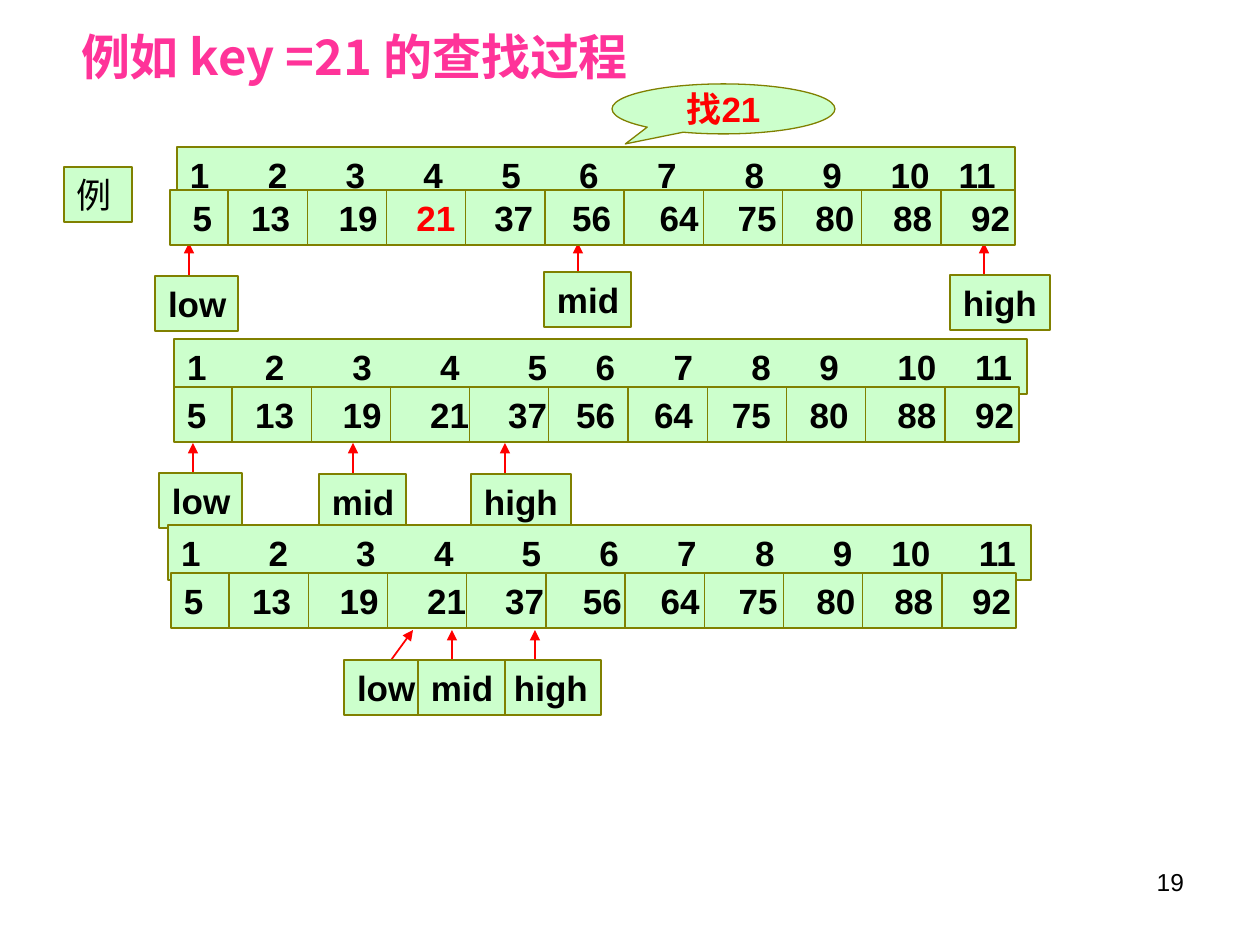
from itertools import accumulate
from lxml.etree import SubElement as Sub
from pptx import Presentation
from pptx.dml.color import RGBColor as Rgb
from pptx.enum.shapes import MSO_CONNECTOR as Conn, MSO_SHAPE as Kind
from pptx.enum.text import MSO_ANCHOR as Anchor, PP_ALIGN as Align
from pptx.oxml.ns import qn
from pptx.util import Pt

PX = 914400 / 126
SPACE = Pt(5.56)
INSET = 13
HIGH = 55
COLORS = {"fill": "CCFFCC", "edge": "808000", "red": "FF0000",
          "pink": "FF3399", "ink": "000000"}
HAN = "Noto Sans CJK SC"
WIDTHS = {"low": 83, "mid": 87, "high": 100}

INDEX = [str(n) for n in range(1, 12)]
KEYS = ["5", "13", "19", "21", "37", "56", "64", "75", "80", "88", "92"]
STEPS = [
    {"head": (177, 147, 838, [6, 6, 6, 6, 6, 6, 7, 6, 5, 3]),
     "cells": (170, 190, 845, [4, 5, 4, 4, 4, 5, 4, 4, 4, 4]),
     "lead": 1, "hit": "21", "under": True, "tip": 243,
     "marks": [("low", 155, 276, 0), ("high", 950, 275, 0), ("mid", 544, 272, 0)]},
    {"head": (174, 339, 853, [6, 7, 7, 7, 5, 6, 6, 5, 6, 4]),
     "cells": (174, 387, 845, [5, 5, 5, 4, 3, 4, 4, 4, 5, 4]),
     "lead": 0, "hit": None, "under": False, "tip": 443,
     "marks": [("low", 159, 473, 0), ("high", 471, 474, 0), ("mid", 319, 474, 0)]},
    {"head": (168, 525, 863, [7, 7, 6, 7, 6, 6, 6, 6, 4, 5]),
     "cells": (171, 573, 845, [5, 5, 5, 4, 4, 4, 4, 4, 4, 4]),
     "lead": 0, "hit": None, "under": False, "tip": 630,
     "marks": [("low", 344, 660, 22), ("high", 501, 660, 0), ("mid", 418, 660, 0)]},
]


def px(*nums):
    return [round(n * PX) for n in nums]


def write(frame, text, size=20, color="ink", bold=True, font="Arial", align=Align.LEFT,
          anchor=Anchor.TOP, wrap=True, right=0, lead=0, stops=(), hit=None):
    frame.word_wrap = wrap
    frame.vertical_anchor = anchor
    frame.margin_left = px(INSET)[0] + lead * SPACE
    frame.margin_right = px(right)[0]
    frame.margin_top = frame.margin_bottom = px(6)[0]
    para = frame.paragraphs[0]
    para.alignment = align
    if stops:
        tabs = Sub(para._p.get_or_add_pPr(), qn("a:tabLst"))
        for stop in stops:
            Sub(tabs, qn("a:tab"), pos=str(stop), algn="l")
    if hit:
        before, after = text.split(hit)
        parts = [(before, color), (hit, "red"), (after, color)]
    else:
        parts = [(text, color)]
    for part, tone in parts:
        run = para.add_run()
        run.text = part
        run.font.size = Pt(size)
        run.font.bold = bold
        run.font.color.rgb = Rgb.from_string(COLORS[tone])
        run.font.name = font
        Sub(run._r.get_or_add_rPr(), qn("a:ea"), typeface=HAN)


def box(slide, x, y, w, h, text, kind=Kind.RECTANGLE, **form):
    shape = slide.shapes.add_shape(kind, *px(x, y, w, h))
    shape.shadow.inherit = False
    shape.fill.solid()
    shape.fill.fore_color.rgb = Rgb.from_string(COLORS["fill"])
    shape.line.color.rgb = Rgb.from_string(COLORS["edge"])
    shape.line.width = Pt(0.75)
    write(shape.text_frame, text, **form)
    return shape


def rule(slide, x1, y1, x2, y2, color="edge", width=0.75, arrow=False):
    line = slide.shapes.add_connector(Conn.STRAIGHT, *px(x1, y1, x2, y2))
    line.line.color.rgb = Rgb.from_string(COLORS[color])
    line.line.width = Pt(width)
    if arrow:
        Sub(line.line._get_or_add_ln(), qn("a:tailEnd"), type="triangle")
    Sub(line._element.spPr, qn("a:effectLst"))


def row(slide, spot, words, **form):
    x, y, w, gaps = spot
    steps = [(2 * len(word) + gap) * SPACE for word, gap in zip(words, gaps)]
    box(slide, x, y, w, HIGH, "\t".join(words), stops=list(accumulate(steps)), **form)


def table(slide, step):
    row(slide, step["head"], INDEX)
    row(slide, step["cells"], KEYS, anchor=Anchor.MIDDLE,
        lead=step["lead"], hit=step["hit"])
    x, y = step["cells"][:2]
    for n in range(10):
        at = x + 58 + n * 713 / 9
        rule(slide, at, y, at, y + HIGH)


def marks(slide, step):
    for name, x, y, lean in step["marks"]:
        foot = x + 34
        tip = foot + 35 if lean else foot
        rule(slide, foot, y + 18, tip, step["tip"], color="red", width=1, arrow=True)
        box(slide, x, y, WIDTHS[name], HIGH, name)


def main():
    deck = Presentation()
    deck.slide_width, deck.slide_height = px(1260, 945)
    slide = deck.slides.add_slide(deck.slide_layouts[5])
    title = slide.shapes.title
    title.left, title.top, title.width, title.height = px(68, 20, 599, 72)
    write(title.text_frame, "例如 key =21 的查找过程", size=28, color="pink",
          font=HAN, wrap=False, right=INSET)
    for step in STEPS:
        parts = [marks, table] if step["under"] else [table, marks]
        for part in parts:
            part(slide, step)
    box(slide, 64, 167, 68, HIGH, "例", bold=False)
    call = box(slide, 612, 84, 223, 50, "找21", kind=Kind.OVAL_CALLOUT, color="red",
               align=Align.CENTER, anchor=Anchor.MIDDLE, wrap=False, right=INSET)
    call.adjustments[0], call.adjustments[1] = -0.44, 0.7
    page = slide.shapes.add_textbox(*px(903, 861, 294, 66))
    write(page.text_frame, "19", size=14, bold=False, align=Align.RIGHT, right=INSET)
    deck.save("out.pptx")


if __name__ == "__main__":
    main()
